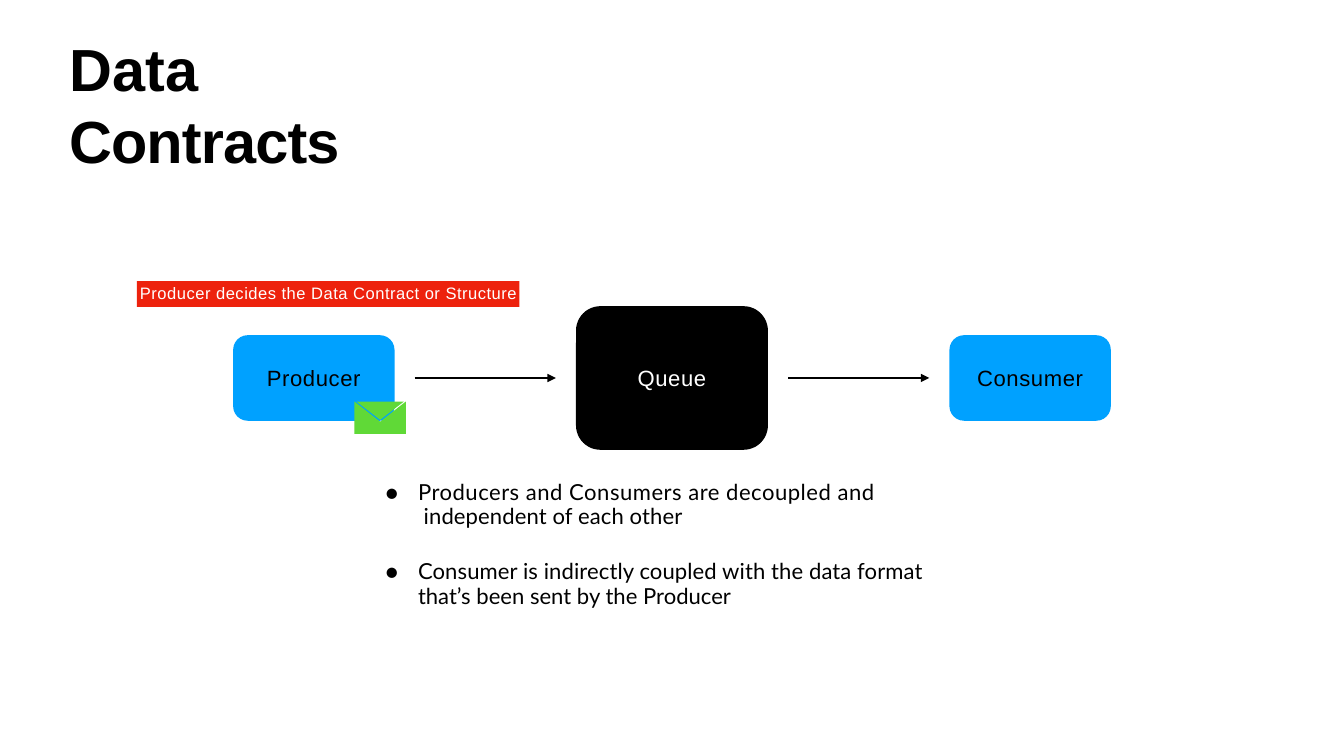
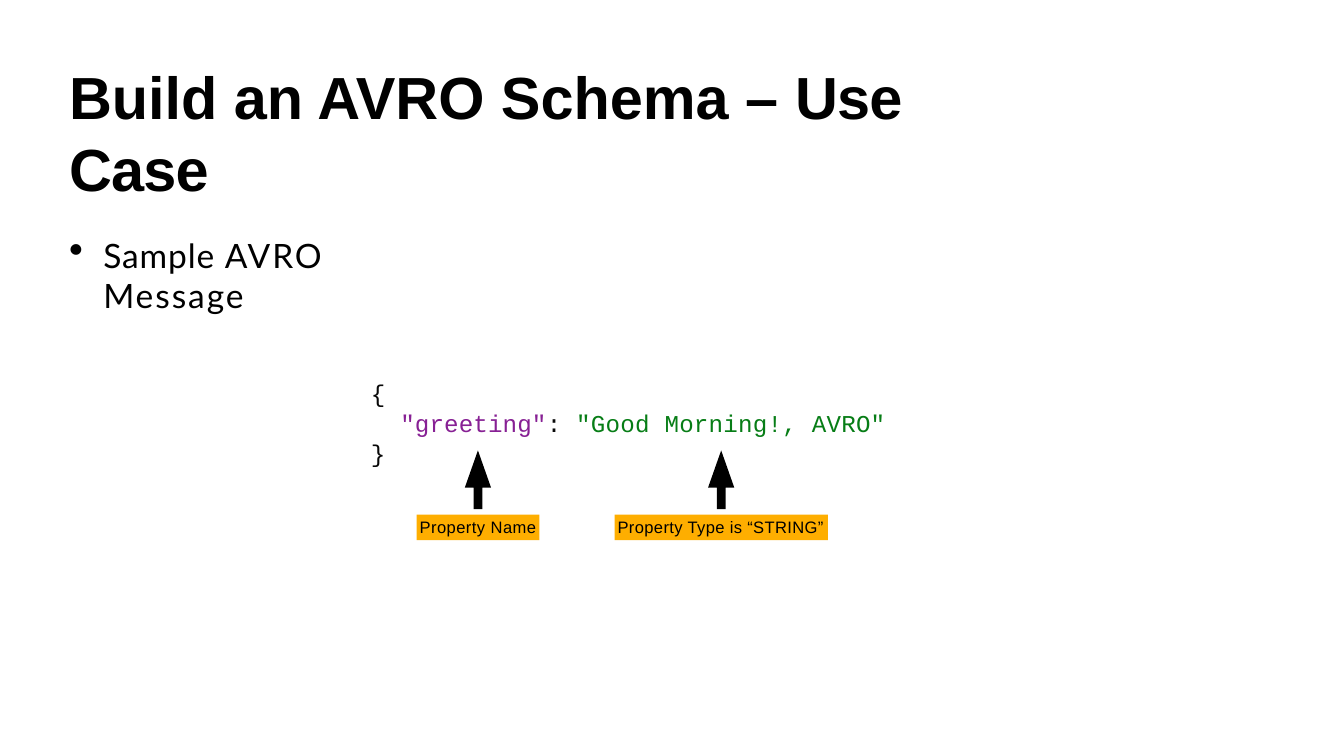
from lxml.etree import SubElement
from pptx import Presentation
from pptx.dml.color import RGBColor
from pptx.enum.shapes import MSO_CONNECTOR, MSO_SHAPE
from pptx.enum.text import MSO_ANCHOR, PP_ALIGN
from pptx.oxml.ns import qn
from pptx.util import Inches, Pt

WIDE, HIGH = 21.99, 12.37
MID, ROW = WIDE / 2, HIGH / 2
EDGE = 1.13
BLACK, WHITE, BLUE, RED = "000000", "FFFFFF", "00A1FF", "ED220D"
GREEN, AMBER = "60D937", "FEAE00"
INK, PLUM, LEAF = "080808", "872094", "077D16"

STEP, GAP = 5.86, 0.33
NODES = [
    ("Producer", 2.64, 1.4, BLUE, BLACK),
    ("Queue", 3.14, 2.35, BLACK, WHITE),
    ("Consumer", 2.64, 1.4, BLUE, BLACK),
]
POINTS = [
    [("Producers and Consumers are decoupled and", 0.6), "\n",
     (" independent of each other", 0.1)],
    [("Consumer is indirectly coupled with the data format", 0.1), "\n",
     ("that’s been sent by the Producer", 0)],
]
MAIL = [
    [(0, 0), (0, 53), (84, 53), (84, 33), (42, 33)],
    [(84, 0), (42, 33), (84, 33)],
    [(81, 0), (3, 0), (42, 30)],
]
CODE = [
    (0, [("{", 0.2, INK)]),
    (0.48, [('"greeting"', 0.2, PLUM), (": ", 0.2, INK),
            ('"Good Morning!, AVRO"', 0.3, LEAF)]),
    (0, [("}", 0.2, INK)]),
]
TAGS = [
    ("Property Name", 7.82, 2.01, 0.5),
    ("Property Type is “STRING”", 11.8, 3.49, 0.4),
]


def tint(text):
    return RGBColor.from_string(text)


def style(para, runs, font, size, color=BLACK, bold=False):
    face = para.font
    face.name, face.size, face.bold = font, Pt(size), bold
    face.color.rgb = tint(color)
    for item in runs:
        if item == "\n":
            para.add_line_break()
            continue
        run = para.add_run()
        run.text = item[0]
        run._r.get_or_add_rPr().set("spc", str(round(item[1] * 100)))
        if len(item) > 2:
            run.font.color.rgb = tint(item[2])


def clear(frame, wrap=True):
    frame.margin_left = frame.margin_right = 0
    frame.margin_top = frame.margin_bottom = 0
    frame.word_wrap = wrap
    return frame


def write(slide, x, y, w, h, paras, font, size, bold=False):
    box = slide.shapes.add_textbox(Inches(x), Inches(y), Inches(w), Inches(h))
    frame = clear(box.text_frame)
    for i, runs in enumerate(paras):
        para = frame.add_paragraph() if i else frame.paragraphs[0]
        style(para, runs, font, size, bold=bold)
    return frame.paragraphs


def title(slide, y, w, runs):
    write(slide, EDGE, y, w, 2.37, [runs], "Arial", 70, True)[0].space_before = Pt(1.1)


def indent(para, left, hang=0):
    prop = para._p.get_or_add_pPr()
    prop.set("marL", str(Inches(left)))
    prop.set("indent", str(-Inches(hang)))
    return prop


def bullet(para, hang, size, font=None):
    prop = indent(para, hang, hang)
    marks = [SubElement(prop, qn("a:buSzPct"), val=str(size * 1000))]
    if font:
        marks.append(SubElement(prop, qn("a:buFont"), typeface=font))
    marks.append(SubElement(prop, qn("a:buChar"), char="•"))
    face = prop.find(qn("a:defRPr"))
    for mark in marks:
        face.addprevious(mark)


def paint(shape, color):
    shape.shadow.inherit = False
    shape.fill.solid()
    shape.fill.fore_color.rgb = tint(color)
    shape.line.fill.background()
    return shape


def block(slide, kind, mid, y, w, h, color):
    return paint(slide.shapes.add_shape(
        kind, Inches(mid - w / 2), Inches(y), Inches(w), Inches(h)), color)


def label(shape, runs, size, color, align=PP_ALIGN.CENTER):
    frame = clear(shape.text_frame, False)
    frame.vertical_anchor = MSO_ANCHOR.MIDDLE
    para = frame.paragraphs[0]
    para.alignment = align
    style(para, runs, "Arial", size, color)


def tag(slide, text, mid, y, w, gap, fill, color):
    rect = block(slide, MSO_SHAPE.RECTANGLE, mid, y, w, 0.42, fill)
    label(rect, [(text, gap)], 19.5, color, PP_ALIGN.LEFT)
    rect.text_frame.margin_left = Inches(0.05)
    rect.text_frame.margin_bottom = Inches(0.02)


def arrow(slide, left, right, y):
    line = slide.shapes.add_connector(
        MSO_CONNECTOR.STRAIGHT, Inches(left), Inches(y), Inches(right), Inches(y))
    line.line.color.rgb = tint(BLACK)
    line.line.width = Pt(1.65)
    SubElement(line.line._get_or_add_ln(), qn("a:tailEnd"),
               type="triangle", w="lg", len="lg")
    SubElement(line._element.spPr, qn("a:effectLst"))


def mail(slide, x, y):
    first, *rest = MAIL
    form = slide.shapes.build_freeform(*first[0], scale=Inches(0.01))
    form.add_line_segments(first[1:])
    for part in rest:
        form.move_to(*part[0])
        form.add_line_segments(part[1:])
    paint(form.convert_to_shape(Inches(x), Inches(y)), GREEN)


def flow(slide):
    title(slide, 0.53, 6.81, [("Data ", 0.2), ("Contracts", -1)])
    last = None
    for i, (name, w, h, fill, color) in enumerate(NODES):
        mid = MID + (i - 1) * STEP
        node = block(slide, MSO_SHAPE.ROUNDED_RECTANGLE, mid, ROW - h / 2, w, h, fill)
        node.adjustments[0] = 0.17
        label(node, [(name, 0.7)], 26, color)
        if last:
            arrow(slide, last + GAP, mid - w / 2 - GAP, ROW)
        last = mid + w / 2
    mail(slide, 5.8, 6.57)
    for para in write(slide, 6.28, 7.87, 9.04, 2.2, POINTS, "Lato", 26):
        para.line_spacing = Pt(28.3)
        para.space_before, para.space_after = Pt(4.8), Pt(32.2)
        bullet(para, 0.56, 125, "Lato")
    tag(slide, "Producer decides the Data Contract or Structure",
        5.37, 4.6, 6.26, 0.57, RED, WHITE)


def case(slide):
    title(slide, 0.99, 15.32, [("Build an AVRO Schema – ", 0), ("Use Case", -0.9)])
    note = [("Sample ", 1.1), ("AVRO Message", 2.3)]
    para = write(slide, EDGE, 3.84, 6, 1.32, [note], "Lato", 39.5)[0]
    para.space_before = Pt(1.1)
    bullet(para, 0.56, 123)
    lines = write(slide, 6.07, 6.19, 9, 1.5, [runs for _, runs in CODE],
                  "Courier New", 28.5)
    for para, (left, _) in zip(lines, CODE):
        para.space_before = Pt(1.4)
        indent(para, left)
    for text, mid, w, gap in TAGS:
        tag(slide, text, mid, 8.42, w, gap, AMBER, BLACK)
        up = block(slide, MSO_SHAPE.UP_ARROW, mid, 7.37, 0.43, 0.96, BLACK)
        up.adjustments[0], up.adjustments[1] = 0.33, 1.42


def main():
    deck = Presentation()
    deck.slide_width, deck.slide_height = Inches(WIDE), Inches(HIGH)
    for draw in (flow, case):
        draw(deck.slides.add_slide(deck.slide_layouts[6]))
    deck.save("out.pptx")


if __name__ == "__main__":
    main()
